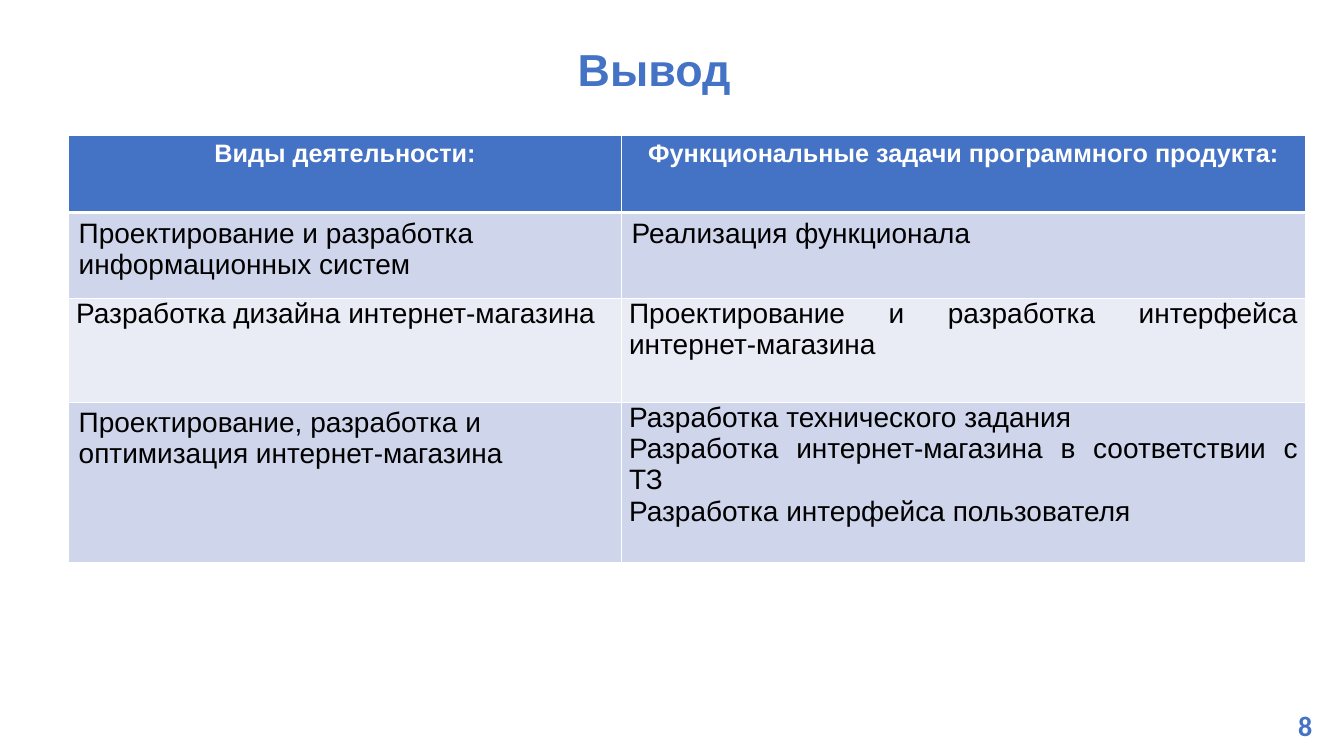
from dataclasses import dataclass

from pptx import Presentation
from pptx.dml.color import RGBColor
from pptx.enum.text import MSO_ANCHOR, MSO_AUTO_SIZE, PP_ALIGN
from pptx.oxml import parse_xml
from pptx.oxml.ns import nsdecls
from pptx.util import Pt


@dataclass(frozen=True)
class Theme:
    accent: str = "4472C4"
    white: str = "FFFFFF"
    black: str = "000000"
    bands: tuple = ("CFD5EA", "E9EBF5")
    text_font: str = "Arial"
    number_font: str = "Calibri"
    title_size: int = 32
    header_size: int = 18
    body_size: int = 20
    number_size: int = 20


THEME = Theme()

HEADERS = ["Виды деятельности:", "Функциональные задачи программного продукта:"]
LEFT, JUSTIFY = PP_ALIGN.LEFT, PP_ALIGN.JUSTIFY
# Each body cell: text, alignment, whether its margins are tight
BODY_ROWS = [
    [("Проектирование и разработка информационных систем", LEFT, False),
     ("Реализация функционала", JUSTIFY, False)],
    [("Разработка дизайна интернет-магазина", JUSTIFY, True),
     ("Проектирование и разработка интерфейса интернет-магазина", JUSTIFY, True)],
    [("Проектирование, разработка и оптимизация интернет-магазина", LEFT, False),
     ("Разработка технического задания\n"
      "Разработка интернет-магазина в соответствии с ТЗ\n"
      "Разработка интерфейса пользователя", JUSTIFY, True)],
]
COLUMN_SHARES = (0.447, 0.553)
ROW_HEIGHTS = (55.4, 61.2, 74.2, 114.5)


def write_text(frame, text, size, color, align, bold=False, font=THEME.text_font):
    frame.text = text
    for para in frame.paragraphs:
        para.alignment = align
        for span in para.runs:
            span.font.name = font
            span.font.size = Pt(size)
            span.font.bold = bold
            span.font.color.rgb = RGBColor.from_string(color)


def place(shape, box):
    shape.left, shape.top, shape.width, shape.height = (Pt(length) for length in box)


def add_title(slide, box):
    title = slide.shapes.title
    place(title, box)
    frame = title.text_frame
    write_text(frame, "Вывод", THEME.title_size, THEME.accent, PP_ALIGN.CENTER, bold=True)
    frame.vertical_anchor = MSO_ANCHOR.MIDDLE
    frame.paragraphs[0].line_spacing = 0.9


def add_page_number(slide, box):
    number = slide.shapes.add_textbox(*(Pt(length) for length in box))
    frame = number.text_frame
    frame.word_wrap = True
    frame.auto_size = MSO_AUTO_SIZE.SHAPE_TO_FIT_TEXT
    write_text(frame, "8", THEME.number_size, THEME.accent, PP_ALIGN.CENTER,
               bold=True, font=THEME.number_font)


def style_cell(cell, fill, top_width, bottom_width):
    """Draw the white borders, then fill the cell, as the schema orders them."""
    properties = cell._tc.get_or_add_tcPr()
    for side, width in (("L", 1), ("R", 1), ("T", top_width), ("B", bottom_width)):
        properties.append(parse_xml(
            f'<a:ln{side} {nsdecls("a")} w="{Pt(width)}"><a:solidFill>'
            f'<a:srgbClr val="{THEME.white}"/></a:solidFill></a:ln{side}>'))
    cell.fill.solid()
    cell.fill.fore_color.rgb = RGBColor.from_string(fill)


def add_activity_table(slide, box):
    left, top, width = box
    frame = slide.shapes.add_table(
        len(ROW_HEIGHTS), len(HEADERS), Pt(left), Pt(top), Pt(width), Pt(sum(ROW_HEIGHTS)))
    table = frame.table
    for column, share in zip(table.columns, COLUMN_SHARES):
        column.width = Pt(width * share)
    for row, height in zip(table.rows, ROW_HEIGHTS):
        row.height = Pt(height)

    for column, text in enumerate(HEADERS):
        cell = table.cell(0, column)
        style_cell(cell, THEME.accent, 1, 3)
        write_text(cell.text_frame, text, THEME.header_size, THEME.white,
                   PP_ALIGN.CENTER, bold=True)

    for index, row in enumerate(BODY_ROWS):
        for column, (text, align, tight) in enumerate(row):
            cell = table.cell(index + 1, column)
            style_cell(cell, THEME.bands[index % 2], 3 if index == 0 else 1, 1)
            write_text(cell.text_frame, text, THEME.body_size, THEME.black, align)
            if tight:
                cell.margin_left = cell.margin_right = Pt(5.4)
                cell.margin_top = cell.margin_bottom = Pt(0)


def main():
    deck = Presentation()
    deck.slide_width, deck.slide_height = Pt(960), Pt(540)
    slide = deck.slides.add_slide(deck.slide_layouts[5])
    add_title(slide, (324, 6.5, 286.6, 90))
    add_page_number(slide, (910.8, 502.6, 43.2, 31.5))
    add_activity_table(slide, (49, 96.5, 883.5))
    deck.save("out.pptx")


if __name__ == "__main__":
    main()
